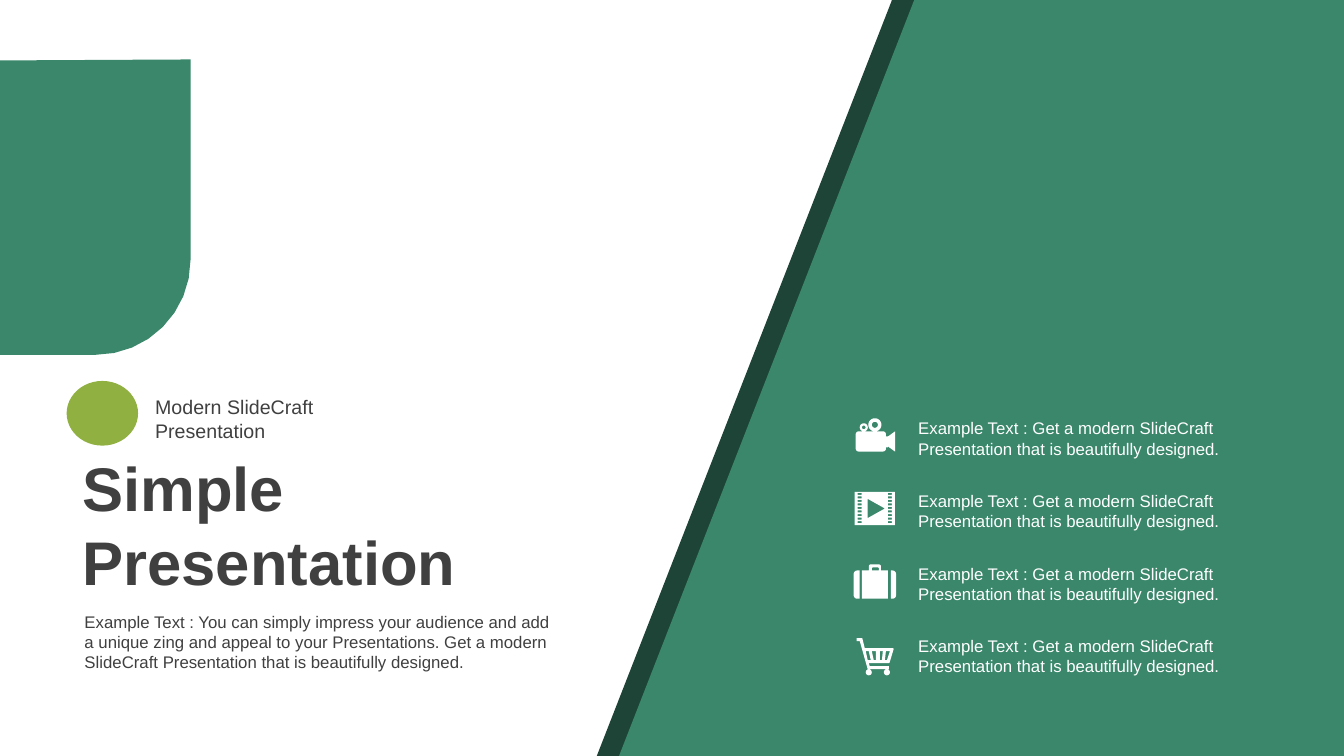
from dataclasses import dataclass
from math import cos, hypot, pi, sin

from pptx import Presentation
from pptx.dml.color import RGBColor
from pptx.enum.shapes import MSO_SHAPE
from pptx.enum.text import MSO_ANCHOR, MSO_AUTO_SIZE
from pptx.util import Cm, Pt

RECTANGLE, TRIANGLE, OVAL = MSO_SHAPE.RECTANGLE, MSO_SHAPE.RIGHT_TRIANGLE, MSO_SHAPE.OVAL
TOP, MIDDLE = MSO_ANCHOR.TOP, MSO_ANCHOR.MIDDLE
FIT_SHAPE = MSO_AUTO_SIZE.SHAPE_TO_FIT_TEXT


@dataclass(frozen=True)
class Theme:
    font: str = "Arial"
    green: RGBColor = RGBColor(0x3A, 0x87, 0x6B)
    dark_green: RGBColor = RGBColor(0x1D, 0x44, 0x36)
    leaf: RGBColor = RGBColor(0x90, 0xB1, 0x41)
    white: RGBColor = RGBColor(0xFF, 0xFF, 0xFF)
    grey: RGBColor = RGBColor(0x40, 0x40, 0x40)
    body: Pt = Pt(12)
    tagline: Pt = Pt(14)
    title: Pt = Pt(44)


theme = Theme()
UNIT = Cm(0.0254)  # grid step of the outlines
CORNER_STEPS = 8

deck = Presentation()
deck.slide_width, deck.slide_height = Cm(33.87), Cm(19.05)
page = deck.slides.add_slide(deck.slide_layouts[6])


def paint(shape, colour):
    shape.shadow.inherit = False
    shape.fill.solid()
    shape.fill.fore_color.rgb = colour
    shape.line.fill.background()


def draw_outline(contours, colour):
    """A point (x, y, r) is a rounded corner; a lone (x, y, r) is a circle."""
    builder = None
    for contour in contours:
        if len(contour) == 1:
            x, y, r = contour[0]
            contour = [(x - r, y - r, r), (x + r, y - r, r),
                       (x + r, y + r, r), (x - r, y + r, r)]
        points = []
        for index, (x, y, *radius) in enumerate(contour):
            if not radius:
                points.append((x * UNIT, y * UNIT))
                continue
            arms = []
            for other in (contour[index - 1], contour[(index + 1) % len(contour)]):
                dx, dy = other[0] - x, other[1] - y
                scale = radius[0] / hypot(dx, dy)
                arms.append((dx * scale, dy * scale))
            (ux, uy), (vx, vy) = arms
            for step in range(CORNER_STEPS + 1):
                angle = pi / 2 * step / CORNER_STEPS
                u, v = 1 - sin(angle), 1 - cos(angle)
                points.append(((x + ux * u + vx * v) * UNIT, (y + uy * u + vy * v) * UNIT))
        if builder is None:
            builder = page.shapes.build_freeform(*points[0], scale=1.0)
        else:
            builder.move_to(*points[0])
        builder.add_line_segments(points[1:], close=True)
    paint(builder.convert_to_shape(), colour)


# Slanted panel with its dark edge
SLANT = 7.44
for edge, colour in ((22.48, theme.dark_green), (23.04, theme.green)):
    panel = page.shapes.add_shape(RECTANGLE, Cm(edge), 0, Cm(33.87 - edge), Cm(19.05))
    paint(panel, colour)
    slant = page.shapes.add_shape(TRIANGLE, Cm(edge - (SLANT + 19.05) / 2),
                                  Cm((19.05 - SLANT) / 2), Cm(19.05), Cm(SLANT))
    slant.rotation = 270
    paint(slant, colour)

# Green tab on the left
draw_outline([[(0, 60), (189, 59), (189, 352, 94), (0, 352)]], theme.green)

# Texts
FEATURE = "Example Text : Get a modern SlideCraft Presentation that is beautifully designed."
INTRO = ("Example Text : You can simply impress your audience and add a unique zing and "
         "appeal to your Presentations. Get a modern SlideCraft Presentation that is "
         "beautifully designed.")
labels = [(FEATURE, 22.89, 10.41 + 1.83 * row, 8.36, 1.27, theme.body, theme.white)
          for row in range(4)]
labels += [
    ("Modern SlideCraft Presentation", 3.66, 9.83, 5.21, 1.45, theme.tagline, theme.grey),
    (INTRO, 1.88, 15.27, 12.32, 1.8, theme.body, theme.grey),
    ("Simple Presentation", 1.88, 11.35, 10.16, 3.76, theme.title, theme.grey),
]
for text, left, top, width, height, size, colour in labels:
    box = page.shapes.add_textbox(Cm(left), Cm(top), Cm(width), Cm(height))
    frame = box.text_frame
    frame.word_wrap = True
    frame.auto_size = FIT_SHAPE
    frame.vertical_anchor = MIDDLE
    frame.text = text
    font = frame.paragraphs[0].runs[0].font
    font.name, font.size, font.color.rgb = theme.font, size, colour
    if size == theme.title:
        font.bold = True
        frame.vertical_anchor = TOP
        frame.margin_left, frame.margin_right = Cm(0.2), Cm(0.1)
        frame.margin_top = frame.margin_bottom = 0

# Icons beside the features
camera = [
    [(849, 428, 3), (879, 428, 3), (879, 433), (881, 433), (888, 428), (888, 448),
     (881, 443), (881, 444), (879, 444), (879, 448, 3), (849, 448, 3)],
    [(857, 424, 4)], [(857, 424, 1.8)],
    [(868, 421.5, 6.5)], [(868, 421.5, 3)],
]

film = [[(848, 488), (888, 488), (888, 521), (848, 521)],
        [(861, 495), (861, 514), (878, 504.5)]]
for hole in range(9):
    y = 489 + 3.5 * hole
    for x in (851, 881):
        film.append([(x, y), (x + 4, y), (x + 4, y + 2), (x, y + 2)])

suitcase = [
    [(847, 566, 3.5), (853, 566), (853, 594), (847, 594, 3.5)],
    [(855, 566), (862, 566), (862, 560, 2), (874, 560, 2), (874, 566), (881, 566),
     (881, 594), (855, 594)],
    [(865, 563, 1), (872, 563, 1), (872, 566), (865, 566)],
    [(884, 566), (889, 566, 3.5), (889, 594, 3.5), (884, 594)],
]

cart = [
    [(850, 633), (855.5, 633), (858, 643), (887, 643, 1.5), (882.5, 658, 1), (862, 658),
     (863, 661), (882, 661), (882, 664), (861, 664), (853, 636), (850, 636)],
    [(859, 646), (862, 646), (864, 655), (861, 655)],
    [(865, 646), (869, 646), (869, 655), (867, 655)],
    [(873, 646), (876, 646), (875, 655), (873, 655)],
    [(879, 646), (883, 646), (880, 655), (878, 655)],
    [(862, 667, 3)], [(880, 667, 3)],
]

for icon in (camera, film, suitcase, cart):
    draw_outline(icon, theme.white)

# Emblem beside the tagline
emblem = page.shapes.add_shape(OVAL, Cm(1.68), Cm(9.6), Cm(1.8), Cm(1.63))
paint(emblem, theme.leaf)

deck.save("out.pptx")
